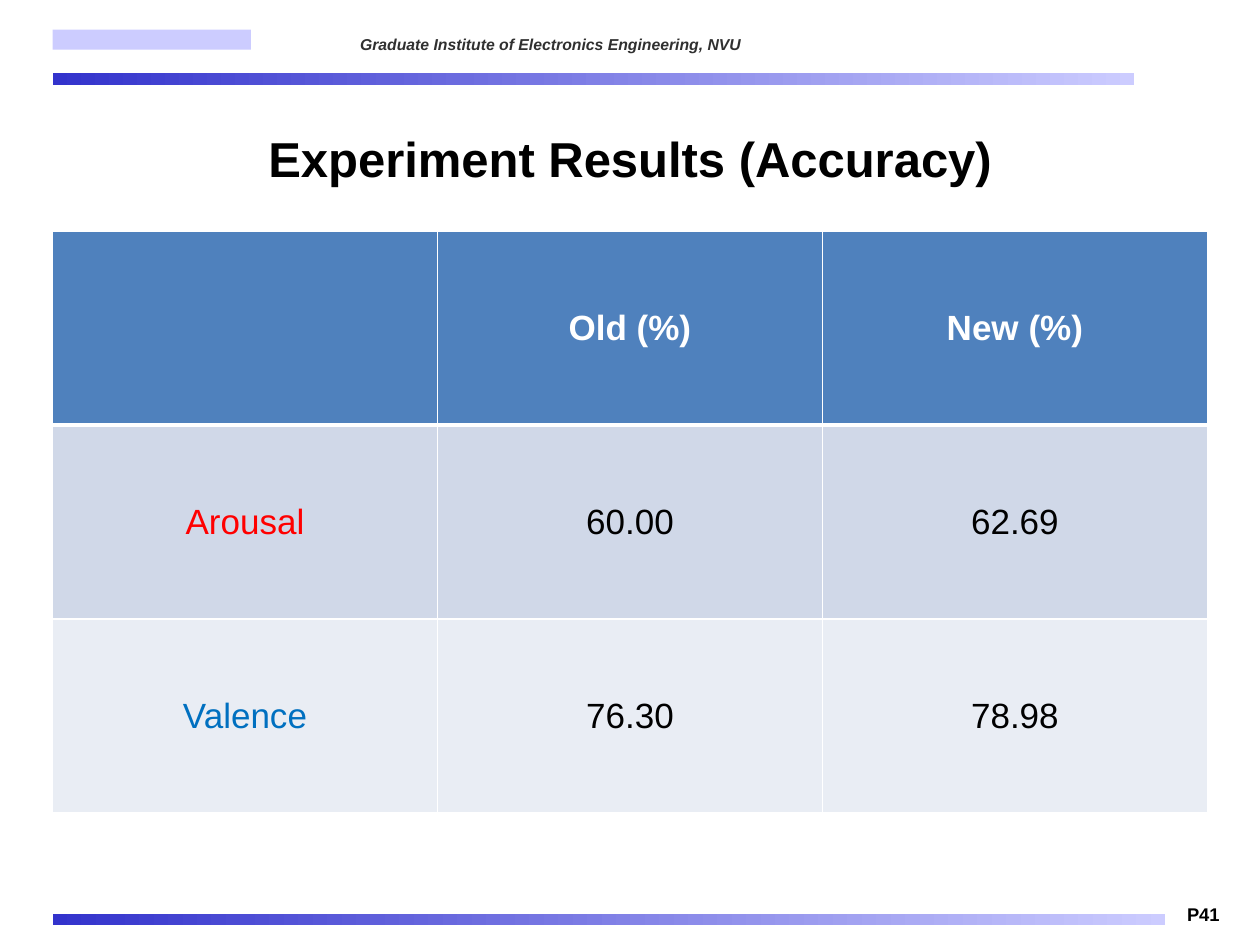
from lxml import etree
from pptx import Presentation
from pptx.dml.color import RGBColor
from pptx.enum.shapes import MSO_SHAPE
from pptx.enum.text import MSO_ANCHOR, PP_ALIGN
from pptx.oxml.ns import qn
from pptx.util import Cm, Pt

RECTANGLE = MSO_SHAPE.RECTANGLE
MIDDLE = MSO_ANCHOR.MIDDLE
CENTER = PP_ALIGN.CENTER

BLACK = RGBColor(0x00, 0x00, 0x00)
WHITE = RGBColor(0xFF, 0xFF, 0xFF)
DARK_GREY = RGBColor(0x30, 0x30, 0x30)
BAR_START = RGBColor(0x33, 0x33, 0xCC)
BAR_END = RGBColor(0xCC, 0xCC, 0xFF)
HEADER_BLUE = RGBColor(0x4F, 0x81, 0xBD)
BAND_DARK = RGBColor(0xD0, 0xD8, 0xE8)
BAND_LIGHT = RGBColor(0xE9, 0xED, 0xF4)
RED = RGBColor(0xFF, 0x00, 0x00)
BLUE = RGBColor(0x00, 0x70, 0xC0)

LEFT = 1.06


class SlideBuilder:
    """Holds the style and the slide being filled."""

    font = "Arial"

    def __init__(self, slide):
        self.slide = slide

    def run(self, paragraph, text, size, color, bold=False, italic=False):
        run = paragraph.add_run()
        run.text = text
        run.font.name = self.font
        run.font.size = Pt(size)
        run.font.bold = bold
        run.font.italic = italic
        run.font.color.rgb = color

    def rectangle(self, top, width, height):
        shape = self.slide.shapes.add_shape(
            RECTANGLE, Cm(LEFT), Cm(top), Cm(width), Cm(height))
        shape.shadow.inherit = False
        shape.line.fill.background()
        return shape

    def block(self, top, width, height, color):
        shape = self.rectangle(top, width, height)
        shape.fill.solid()
        shape.fill.fore_color.rgb = color

    def bar(self, top, width):
        shape = self.rectangle(top, width, 0.23)
        shape.fill.gradient()
        shape.fill.gradient_angle = 0
        for stop, color in zip(shape.fill.gradient_stops, (BAR_START, BAR_END)):
            stop.color.rgb = color

    def text_box(self, left, top, width, height, wrap=True):
        frame = self.slide.shapes.add_textbox(
            Cm(left), Cm(top), Cm(width), Cm(height)).text_frame
        frame.word_wrap = wrap
        frame.margin_left = frame.margin_right = Cm(0.18)
        frame.margin_top = frame.margin_bottom = Cm(0.1)
        return frame.paragraphs[0]

    def title(self, text):
        title = self.slide.shapes.title
        title.left, title.top = Cm(LEFT), Cm(2.12)
        title.width, title.height = Cm(23.28), Cm(2.12)
        title.text_frame.vertical_anchor = MIDDLE
        paragraph = title.text_frame.paragraphs[0]
        paragraph.alignment = CENTER
        self.run(paragraph, text, 28, BLACK, bold=True)

    def borders(self, cell, top, bottom):
        properties = cell._tc.get_or_add_tcPr()
        for side, width in (("L", 1), ("R", 1), ("T", top), ("B", bottom)):
            line = etree.SubElement(properties, qn(f"a:ln{side}"), w=str(Pt(width)))
            fill = etree.SubElement(line, qn("a:solidFill"))
            etree.SubElement(fill, qn("a:srgbClr"), val=str(WHITE))

    def table(self, rows, fills, label_colors, top, column_width, row_height):
        columns = len(rows[0])
        table = self.slide.shapes.add_table(
            len(rows), columns, Cm(LEFT), Cm(top),
            Cm(column_width * columns), Cm(row_height * len(rows))).table
        for column in table.columns:
            column.width = Cm(column_width)
        for row_index, values in enumerate(rows):
            table.rows[row_index].height = Cm(row_height)
            header = row_index == 0
            for column_index, text in enumerate(values):
                cell = table.cell(row_index, column_index)
                self.borders(cell, 3 if row_index == 1 else 1, 3 if header else 1)
                cell.fill.solid()
                cell.fill.fore_color.rgb = fills[row_index]
                cell.vertical_anchor = MIDDLE
                paragraph = cell.text_frame.paragraphs[0]
                paragraph.alignment = CENTER
                color = WHITE if header else label_colors.get(text, BLACK)
                if text:
                    self.run(paragraph, text, 20, color, bold=header)


def main():
    presentation = Presentation()
    presentation.slide_width = Cm(25.4)
    presentation.slide_height = Cm(19.05)
    title_only = presentation.slide_layouts[5]
    builder = SlideBuilder(presentation.slides.add_slide(title_only))

    # Header: plain block, institute and bar
    builder.block(0.6, 4, 0.4, BAR_END)
    institute = builder.text_box(7.08, 0.6, 14.72, 0.6)
    builder.run(institute, "Graduate Institute of Electronics Engineering, NVU", 9,
                DARK_GREY, bold=True, italic=True)
    builder.bar(1.48, 21.8)

    # Footer: page number and bar
    page_number = builder.text_box(23.75, 18.11, 1.09, 0.64, wrap=False)
    builder.run(page_number, "P41", 10.5, BLACK, bold=True)
    builder.bar(18.42, 22.43)

    # Title and results
    builder.title("Experiment Results (Accuracy)")
    builder.table(
        rows=[("", "Old (%)", "New (%)"),
              ("Arousal", "60.00", "62.69"),
              ("Valence", "76.30", "78.98")],
        fills=(HEADER_BLUE, BAND_DARK, BAND_LIGHT),
        label_colors={"Arousal": RED, "Valence": BLUE},
        top=4.66, column_width=7.76, row_height=3.91)

    presentation.save("out.pptx")


if __name__ == "__main__":
    main()
